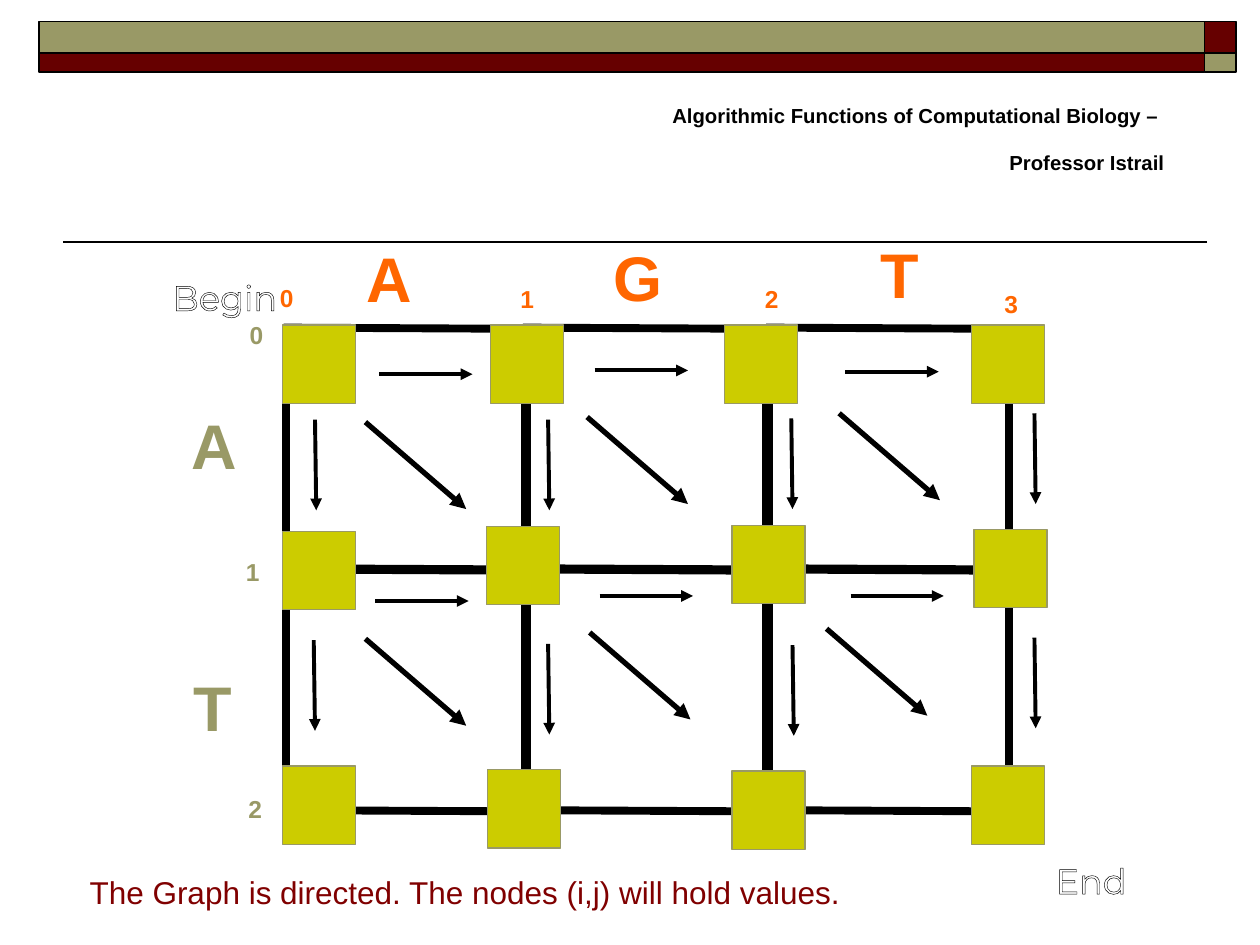
from dataclasses import dataclass
from itertools import product

from lxml.etree import SubElement
from pptx import Presentation
from pptx.dml.color import RGBColor
from pptx.enum.shapes import MSO_CONNECTOR as Connector, MSO_SHAPE as Shape
from pptx.enum.text import MSO_ANCHOR as Anchor, MSO_AUTO_SIZE as AutoSize, PP_ALIGN as Align
from pptx.oxml import parse_xml
from pptx.oxml.ns import nsdecls, qn
from pptx.util import Emu, Pt

EMU_PER_PX = 9144


def px(length):
    return Emu(length * EMU_PER_PX)


def rgb(value):
    return RGBColor.from_string(value)


@dataclass(frozen=True)
class Theme:
    black: str = "000000"
    white: str = "FFFFFF"
    olive: str = "999966"
    maroon: str = "660000"
    caption_red: str = "800000"
    orange: str = "FF6600"
    node_yellow: str = "CCCC00"
    body_font: str = "Arial"
    label_font: str = "Montserrat"
    index_size: int = 14
    caption_size: int = 18
    title_size: int = 20
    letter_size: int = 36


def write_text(frame, text, *, size, color, font, bold=False, align=Align.CENTER,
               baseline=None, outline=None):
    for index, content in enumerate(text.split("\n")):
        paragraph = frame.paragraphs[0] if index == 0 else frame.add_paragraph()
        paragraph.alignment = align
        run = paragraph.add_run()
        run.text = content
        run.font.name = font
        run.font.size = Pt(size)
        run.font.bold = bold
        run.font.color.rgb = rgb(color)
        properties = run.font._element
        if baseline is not None:
            properties.set("baseline", str(baseline))
        if outline:
            properties.insert(0, parse_xml(
                f'<a:ln {nsdecls("a")} w="9525"><a:solidFill>'
                f'<a:srgbClr val="{outline}"/></a:solidFill></a:ln>'))


class SlideBuilder:
    def __init__(self, slide, theme):
        self.slide = slide
        self.theme = theme

    def rectangle(self, left, top, width, height, fill, line, weight):
        shape = self.slide.shapes.add_shape(
            Shape.RECTANGLE, px(left), px(top), px(width), px(height))
        shape.shadow.inherit = False
        shape.fill.solid()
        shape.fill.fore_color.rgb = rgb(fill)
        shape.line.color.rgb = rgb(line)
        shape.line.width = Pt(weight)

    def line(self, start, end, weight, arrow=False):
        connector = self.slide.shapes.add_connector(
            Connector.STRAIGHT, *map(px, (*start, *end)))
        connector.line.color.rgb = rgb(self.theme.black)
        connector.line.width = Pt(weight)
        if arrow:
            SubElement(connector.line._get_or_add_ln(), qn("a:tailEnd"), type="triangle")
        SubElement(connector._element.spPr, qn("a:effectLst"))

    def text(self, text, left, top, width, height, *, wrap=False, grow=True,
             anchor=Anchor.MIDDLE, **style):
        box = self.slide.shapes.add_textbox(px(left), px(top), px(width), px(height))
        frame = box.text_frame
        frame.word_wrap = wrap
        frame.auto_size = AutoSize.SHAPE_TO_FIT_TEXT if grow else AutoSize.NONE
        frame.vertical_anchor = anchor
        write_text(frame, text, **{"font": self.theme.body_font, **style})

    def index(self, text, left, top, color):
        self.text(text, left, top, 31, 34, size=self.theme.index_size, color=color, bold=True)

    def letter(self, text, left, top, width, color):
        self.text(text, left, top, width, 70,
                  size=self.theme.letter_size, color=color, bold=True)

    def corner_label(self, text, left, top, width):
        self.text(text, left, top, width, 40, grow=False, anchor=Anchor.TOP,
                  size=self.theme.title_size, color=self.theme.white,
                  font=self.theme.label_font, align=Align.LEFT, outline=self.theme.black)

    def node(self, left, top):
        self.rectangle(left, top, 58, 62, self.theme.node_yellow, self.theme.olive, 0.75)

    def arrow(self, start, run, rise, weight):
        left, top = start
        self.line(start, (left + run, top + rise), weight, arrow=True)


NODES = [(224, 258), (389, 258), (575, 258), (771, 258),
         (224, 422), (386, 418), (581, 417), (773, 420),
         (224, 608), (387, 611), (581, 612), (771, 608)]
RIGHT_ARROWS = [(301, 297), (472, 294), (671, 295), (298, 477), (476, 473), (675, 473)]
DOWN_ARROWS = [(250, 333), (435, 333), (628, 332), (821, 328),
               (249, 508), (435, 511), (629, 512), (821, 506)]
DIAGONAL_ARROWS = [(290, 335), (466, 331), (666, 328), (290, 507), (468, 502), (656, 499)]


def draw_banner(builder):
    theme = builder.theme
    builder.line((958, 192), (50, 192), 1)
    for (top, height, wide, narrow) in ((17, 25, theme.olive, theme.maroon),
                                        (42, 15, theme.maroon, theme.olive)):
        builder.rectangle(31, top, 925, height, wide, theme.black, 1)
        builder.rectangle(956, top, 25, height, narrow, theme.black, 1)


def draw_grid(builder):
    for left, top in product((225, 415, 608), (260, 452)):
        right, bottom = left + 193, top + 191
        builder.line((left, top), (right, top + 1), 4.5)
        builder.line((left + 2, bottom), (left + 2, top), 4.5)
        builder.line((left + 2, bottom), (right + 2, bottom + 1), 4.5)
        builder.line((right, bottom + 4), (right, top - 2), 4.5)


def draw_labels(builder):
    theme = builder.theme
    for number, (left, top) in enumerate([(212, 219), (403, 220), (597, 220), (787, 224)]):
        builder.index(str(number), left, top, theme.orange)
    for number, (left, top) in enumerate([(188, 249), (185, 437), (187, 625)]):
        builder.index(str(number), left, top, theme.olive)
    for letter, left, top, width in (("A", 281, 185, 56), ("G", 477, 184, 59),
                                     ("T", 689, 182, 50)):
        builder.letter(letter, left, top, width, theme.orange)
    for letter, left, top, width in (("A", 142, 318, 56), ("T", 144, 526, 50)):
        builder.letter(letter, left, top, width, theme.olive)


def draw_arrows(builder):
    for starts, run, rise, weight in ((RIGHT_ARROWS, 74, 0, 2.25),
                                      (DOWN_ARROWS, 1, 72, 2.25),
                                      (DIAGONAL_ARROWS, 80, 69, 3)):
        for start in starts:
            builder.arrow(start, run, rise, weight)


def main():
    presentation = Presentation()
    presentation.slide_width, presentation.slide_height = px(1000), px(750)
    theme = Theme()
    builder = SlideBuilder(presentation.slides.add_slide(presentation.slide_layouts[6]), theme)
    draw_banner(builder)
    draw_grid(builder)
    draw_labels(builder)
    for left, top in NODES:
        builder.node(left, top)
    draw_arrows(builder)
    builder.corner_label("Begin", 127, 214, 88)
    builder.corner_label("End", 828, 677, 58)
    builder.text("The Graph is directed. The nodes (i,j) will hold values.", 61, 688, 616, 40,
                 size=theme.caption_size, color=theme.caption_red)
    builder.text("Algorithmic Functions of Computational Biology – \nProfessor Istrail",
                 392, 58, 542, 86, wrap=True, anchor=Anchor.TOP, size=theme.title_size,
                 color=theme.black, bold=True, align=Align.RIGHT, baseline=-25000)
    presentation.save("out.pptx")


if __name__ == "__main__":
    main()
